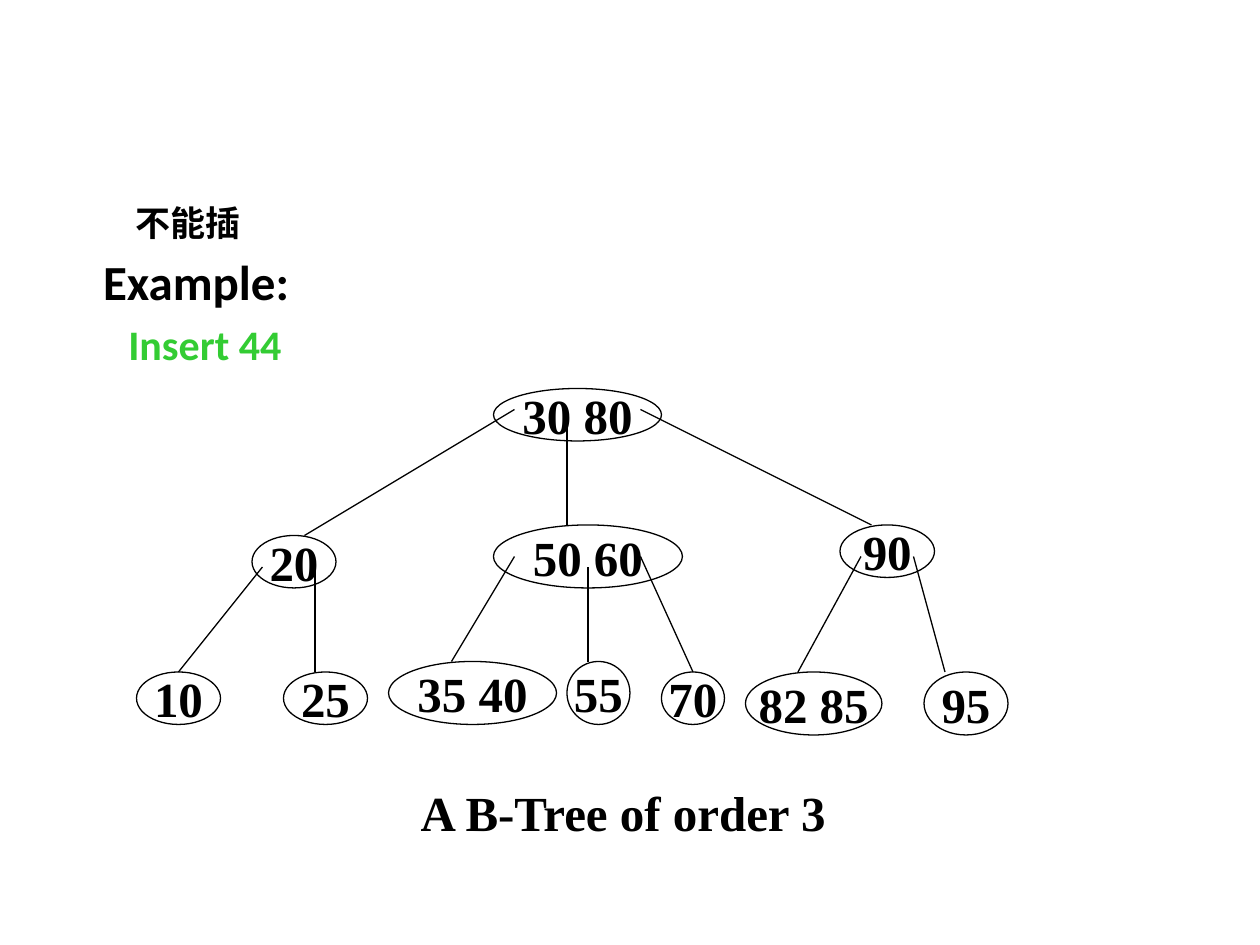
from pptx import Presentation
from pptx.dml.color import RGBColor
from pptx.enum.shapes import MSO_CONNECTOR, MSO_SHAPE
from pptx.enum.text import MSO_ANCHOR, MSO_AUTO_SIZE, PP_ALIGN
from pptx.oxml.ns import qn
from pptx.util import Inches, Pt
from lxml import etree

OVAL = MSO_SHAPE.OVAL
STRAIGHT = MSO_CONNECTOR.STRAIGHT
MIDDLE = MSO_ANCHOR.MIDDLE
CENTER = PP_ALIGN.CENTER
FIT_SHAPE = MSO_AUTO_SIZE.SHAPE_TO_FIT_TEXT

BLACK = RGBColor(0x00, 0x00, 0x00)
GREEN = RGBColor(0x33, 0xCC, 0x33)
SANS = "Calibri"
SERIF = "Times New Roman"
GRID_PER_INCH = 12

# Keys are node texts; values are left, top, width, height in grid steps.
NODES = {
    "30 80": (47, 37, 16, 5),
    "20": (24, 51, 8, 5),
    "50 60": (47, 50, 18, 6),
    "90": (80, 50, 9, 5),
    "10": (13, 64, 8, 5),
    "25": (27, 64, 8, 5),
    "35 40": (37, 63, 16, 6),
    "55": (54, 63, 6, 6),
    "70": (63, 64, 6, 5),
    "82 85": (71, 64, 13, 6),
    "95": (88, 64, 8, 6),
}
EDGES = [
    (49, 39, 29, 51),
    (54, 40, 54, 50),
    (61, 39, 83, 50),
    (25, 54, 17, 64),
    (30, 54, 30, 64),
    (49, 53, 43, 63),
    (56, 54, 56, 63),
    (61, 53, 66, 64),
    (82, 53, 76, 64),
    (87, 53, 90, 64),
]


def grid(steps):
    """Convert grid steps to a length."""
    return Inches(steps / GRID_PER_INCH)


def style_text(para, size, font=SERIF, color=BLACK):
    """Format every run of a paragraph in bold."""
    for span in para.runs:
        span.font.name = font
        span.font.size = Pt(size)
        span.font.bold = True
        span.font.color.rgb = color


def style_line(shape):
    """Give an outline or connector the thin black stroke."""
    shape.line.color.rgb = BLACK
    shape.line.width = Pt(0.75)


def add_node(tree, keys, left, top, width, height):
    """Draw one tree node with its keys."""
    node = tree.shapes.add_shape(OVAL, grid(left), grid(top), grid(width), grid(height))
    node.shadow.inherit = False
    node.fill.background()
    style_line(node)
    frame = node.text_frame
    frame.text = keys
    frame.word_wrap = False
    frame.vertical_anchor = MIDDLE
    para = frame.paragraphs[0]
    para.alignment = CENTER
    style_text(para, 28)


def add_edge(tree, *ends):
    """Draw one line from a parent to a child."""
    edge = tree.shapes.add_connector(STRAIGHT, *map(grid, ends))
    style_line(edge)
    etree.SubElement(edge._element.spPr, qn("a:effectLst"))


def add_label(page, text, left, top, width, height, size, wrap):
    """Add a one-line text box."""
    box = page.shapes.add_textbox(Inches(left), Inches(top), Inches(width), Inches(height))
    frame = box.text_frame
    frame.text = text
    frame.word_wrap = wrap
    frame.auto_size = FIT_SHAPE
    style_text(frame.paragraphs[0], size)


def add_heading(page):
    """Add the example heading and the task below it."""
    box = page.shapes.add_textbox(Inches(0.69), Inches(2), Inches(8.63), Inches(4.76))
    frame = box.text_frame
    frame.word_wrap = True
    frame.text = "Example:\nInsert 44"
    looks = [(28, BLACK, 0.03, 0), (24, GREEN, 0.23, 7.5)]
    for para, (size, color, indent, before) in zip(frame.paragraphs, looks):
        para._p.get_or_add_pPr().set("marL", str(Inches(indent)))
        para.line_spacing = 0.9
        para.space_before = Pt(before)
        style_text(para, size, SANS, color)


def main():
    """Build the slide and save it."""
    deck = Presentation()
    deck.slide_width, deck.slide_height = Inches(10), Inches(7.5)
    page = deck.slides.add_slide(deck.slide_layouts[6])
    add_heading(page)
    tree = page.shapes.add_group_shape()
    for keys, place in NODES.items():
        add_node(tree, keys, *place)
    for ends in EDGES:
        add_edge(tree, *ends)
    add_label(page, "A B-Tree of order 3", 3.24, 6.16, 3.48, 0.57, 28, False)
    add_label(page, "不能插", 0.98, 1.55, 1.81, 0.44, 20, True)
    deck.save("out.pptx")


if __name__ == "__main__":
    main()
